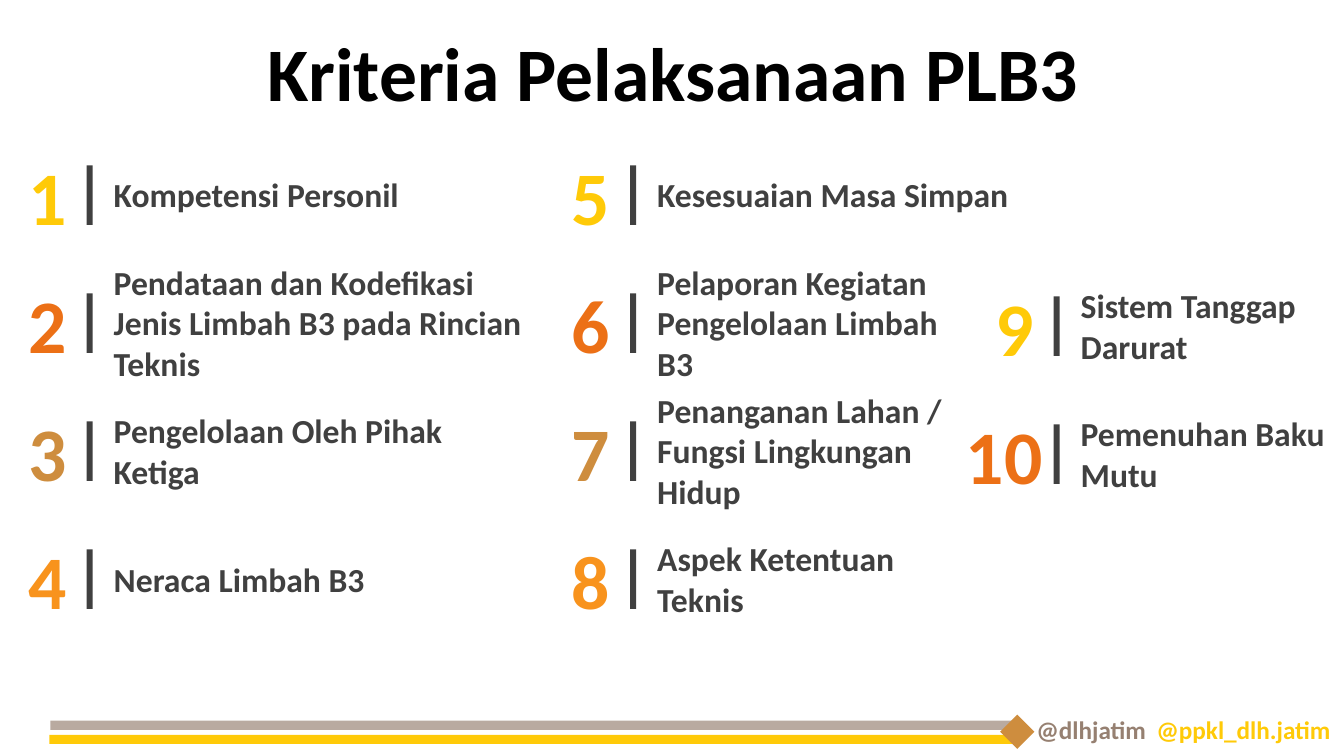
"""Build the slide of ten numbered PLB3 criteria with its footer."""
from dataclasses import dataclass

from pptx import Presentation
from pptx.dml.color import RGBColor
from pptx.enum.shapes import MSO_SHAPE as Form
from pptx.enum.text import MSO_ANCHOR as Anchor, MSO_AUTO_SIZE as Fit, PP_ALIGN as Align
from pptx.util import Emu, Pt

SCALE = 9144
FONT = "Calibri"
HUES = {
    "black": "000000",
    "dark": "404040",
    "taupe": "B9AAA0",
    "brown": "968071",
    "yellow": "FFCA08",
    "red": "EC7016",
    "bronze": "CE8D3E",
    "orange": "F8931D",
}
CYCLE = ("yellow", "red", "bronze", "orange")
TOP, PITCH = 193, 127
NUM_H, BAR_W, BAR_H = 91, 6, 59
BAR_DX, TEXT_DX = 58, 75
LINE_H, PAD = 40, 10


@dataclass(frozen=True)
class Item:
    text: str
    width: int
    lines: int


@dataclass(frozen=True)
class Column:
    left: int
    first: int
    drop: int
    items: tuple[Item, ...]


COLUMNS = (
    Column(28, 0, 0, (
        Item("Kompetensi Personil", 376, 1),
        Item("Pendataan dan Kodefikasi Jenis Limbah B3 pada Rincian Teknis", 436, 3),
        Item("Pengelolaan Oleh Pihak Ketiga", 376, 2),
        Item("Neraca Limbah B3", 436, 1),
    )),
    Column(567, 0, 0, (
        Item("Kesesuaian Masa Simpan", 374, 1),
        Item("Pelaporan Kegiatan Pengelolaan Limbah B3", 316, 3),
        Item("Penanganan Lahan / Fungsi Lingkungan Hidup", 304, 3),
        Item("Aspek Ketentuan Teknis", 328, 2),
    )),
    Column(987, 1, 3, (
        Item("Sistem Tanggap Darurat", 328, 2),
        Item("Pemenuhan Baku Mutu", 316, 2),
    )),
)


def px(n: int) -> Emu:
    return Emu(n * SCALE)


def write(shape, text: str, *, size: int, hue: str, align=Align.LEFT,
          inset: bool = True, fit=Fit.SHAPE_TO_FIT_TEXT) -> None:
    frame = shape.text_frame
    frame.word_wrap = True
    frame.auto_size = fit
    frame.vertical_anchor = Anchor.MIDDLE
    if not inset:
        frame.margin_left = frame.margin_right = 0
        frame.margin_top = frame.margin_bottom = 0
    par = frame.paragraphs[0]
    par.alignment = align
    run = par.add_run()
    run.text = text
    font = run.font
    font.name, font.size, font.bold = FONT, Pt(size), True
    font.color.rgb = RGBColor.from_string(HUES[hue])


def label(slide, box: tuple[int, int, int, int], text: str, **fmt) -> None:
    write(slide.shapes.add_textbox(*map(px, box)), text, **fmt)


def block(slide, box: tuple[int, int, int, int], hue: str, form=Form.RECTANGLE) -> None:
    shape = slide.shapes.add_shape(form, *map(px, box))
    shape.shadow.inherit = False
    shape.fill.solid()
    shape.fill.fore_color.rgb = RGBColor.from_string(HUES[hue])
    shape.line.fill.background()


def title(slide, text: str) -> None:
    shape = slide.shapes.title
    shape.left, shape.top, shape.width, shape.height = map(px, (35, 37, 1266, 79))
    write(shape, text, size=54, hue="black", align=Align.CENTER, fit=Fit.NONE)
    par = shape.text_frame.paragraphs[0]
    par.line_spacing = 0.9
    par.space_before = Pt(10)


def footer(slide) -> None:
    block(slide, (50, 715, 964, 9), "taupe")
    block(slide, (49, 729, 964, 9), "yellow")
    block(slide, (992, 709, 34, 34), "bronze", Form.DIAMOND)
    label(slide, (1018, 704, 144, 40), "@dlhjatim", size=18, hue="brown")
    label(slide, (1137, 704, 207, 40), "@ppkl_dlh.jatim", size=18, hue="yellow")


def entry(slide, num: int, left: int, mid: int, item: Item) -> None:
    start, width = (left - 29, 80) if num > 9 else (left, 47)
    label(slide, (start, mid - NUM_H // 2, width, NUM_H), str(num),
          size=54, hue=CYCLE[(num - 1) % len(CYCLE)], inset=False)
    block(slide, (left + BAR_DX, mid - BAR_H // 2, BAR_W, BAR_H), "dark")
    high = item.lines * LINE_H + PAD
    label(slide, (left + TEXT_DX, mid - high // 2, item.width, high), item.text,
          size=24, hue="dark")


def main() -> None:
    deck = Presentation()
    deck.slide_width, deck.slide_height = px(1333), px(750)
    slide = deck.slides.add_slide(deck.slide_layouts[5])
    title(slide, "Kriteria Pelaksanaan PLB3")
    footer(slide)
    num = 0
    for col in COLUMNS:
        for row, item in enumerate(col.items, col.first):
            num += 1
            entry(slide, num, col.left, TOP + col.drop + row * PITCH, item)
    deck.save("out.pptx")


if __name__ == "__main__":
    main()
